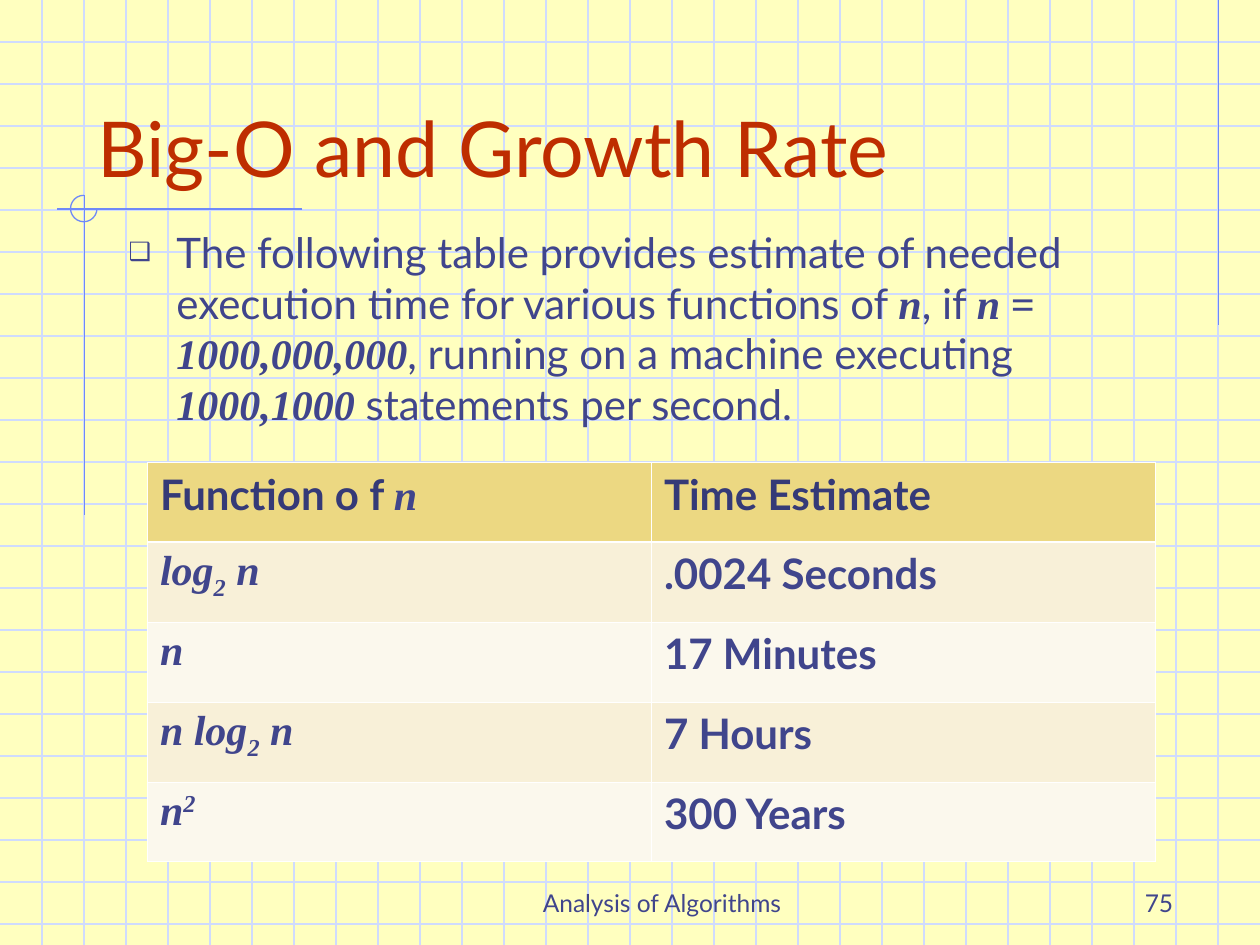
from lxml.etree import SubElement
from pptx import Presentation
from pptx.dml.color import RGBColor
from pptx.enum.shapes import MSO_CONNECTOR, MSO_SHAPE
from pptx.enum.text import MSO_ANCHOR, MSO_AUTO_SIZE, PP_ALIGN
from pptx.oxml.ns import qn
from pptx.util import Inches, Pt

WIDTH, HEIGHT = 10, 7.5
GRID_STEP = 1 / 3


def color(value):
    return RGBColor.from_string(value)


class SlideBuilder:
    """Holds the style and the current slide."""

    sans, serif = "Lato", "Times New Roman"
    background, grid, accent = "FFFFBF", "CFDBFD", "6F89F7"
    ink, heading, header_ink = "40458C", "BE2D00", "353A77"
    header_fill, bands, border = "ECD882", ("F8F0D8", "FBF8ED"), "FFFFFF"

    def __init__(self, presentation):
        self.slide = presentation.slides.add_slide(presentation.slide_layouts[1])
        fill = self.slide.background.fill
        fill.solid()
        fill.fore_color.rgb = color(self.background)

    def line(self, x1, y1, x2, y2, stroke):
        connector = self.slide.shapes.add_connector(
            MSO_CONNECTOR.STRAIGHT, Inches(x1), Inches(y1), Inches(x2), Inches(y2))
        connector.line.color.rgb = color(stroke)
        connector.line.width = Pt(0.75)
        SubElement(connector._element.spPr, qn("a:effectLst"))

    def grid_lines(self):
        for index in range(1, int(HEIGHT / GRID_STEP) + 1):
            self.line(0, index * GRID_STEP, WIDTH, index * GRID_STEP, self.grid)
        for index in range(1, int(WIDTH / GRID_STEP)):
            self.line(index * GRID_STEP, 0, index * GRID_STEP, HEIGHT, self.grid)

    def arc(self, left, top, size):
        shape = self.slide.shapes.add_shape(
            MSO_SHAPE.ARC, Inches(left), Inches(top), Inches(size), Inches(size))
        shape.adjustments[0] = 0
        shape.adjustments[1] = 270 * 0.6
        shape.shadow.inherit = False
        shape.fill.background()
        shape.line.color.rgb = color(self.accent)
        shape.line.width = Pt(0.75)

    def add_runs(self, paragraph, parts, size, ink=None, bold=False):
        for text, style in parts:
            run = paragraph.add_run()
            run.text = text
            math = style != "text"
            run.font.name = self.serif if math else self.sans
            run.font.size = Pt(size)
            run.font.bold = bold or math
            run.font.italic = math
            run.font.color.rgb = color(self.ink if math else ink or self.ink)
            if style in ("sub", "super"):
                run.font._element.set("baseline", "-25000" if style == "sub" else "30000")

    def place(self, shape, left, top, width, height):
        shape.left, shape.top = Inches(left), Inches(top)
        shape.width, shape.height = Inches(width), Inches(height)
        self.slide.shapes._spTree.append(shape._element)
        shape.text_frame.word_wrap = True
        shape.text_frame.auto_size = MSO_AUTO_SIZE.NONE
        return shape.text_frame

    def title(self, text, *box):
        frame = self.place(self.slide.shapes.title, *box)
        frame.vertical_anchor = MSO_ANCHOR.BOTTOM
        paragraph = frame.paragraphs[0]
        paragraph.alignment = PP_ALIGN.LEFT
        self.add_runs(paragraph, [(text, "text")], 44, self.heading)

    def body(self, parts, *box):
        frame = self.place(self.slide.placeholders[1], *box)
        frame.vertical_anchor = MSO_ANCHOR.TOP
        paragraph = frame.paragraphs[0]
        paragraph.space_before = Pt(0)
        properties = paragraph._p.get_or_add_pPr()
        properties.set("marL", str(Inches(0.38)))
        properties.set("indent", str(Inches(-0.38)))
        bullet_color = SubElement(properties, qn("a:buClr"))
        SubElement(bullet_color, qn("a:srgbClr"), val=self.ink)
        SubElement(properties, qn("a:buSzPct"), val="60000")
        SubElement(properties, qn("a:buChar"), char="❑")
        self.add_runs(paragraph, parts, 24)

    def footer(self, text, alignment, *box):
        shape = self.slide.shapes.add_textbox(*map(Inches, box))
        frame = shape.text_frame
        frame.word_wrap = True
        frame.vertical_anchor = MSO_ANCHOR.BOTTOM
        paragraph = frame.paragraphs[0]
        paragraph.alignment = alignment
        self.add_runs(paragraph, [(text, "text")], 14)

    def borders(self, cell, row):
        properties = cell._tc.get_or_add_tcPr()
        heavy_side = {0: "lnB", 1: "lnT"}.get(row)
        for side in ("lnL", "lnR", "lnT", "lnB"):
            width = Pt(1.47 if side == heavy_side else 0.45)
            edge = SubElement(properties, qn(f"a:{side}"), w=str(width))
            fill = SubElement(edge, qn("a:solidFill"))
            SubElement(fill, qn("a:srgbClr"), val=self.border)

    def table(self, rows, *box):
        frame = self.slide.shapes.add_table(len(rows), len(rows[0]), *map(Inches, box))
        for row, contents in enumerate(rows):
            for column, parts in enumerate(contents):
                cell = frame.table.cell(row, column)
                self.borders(cell, row)
                cell.fill.solid()
                fill = self.bands[(row - 1) % 2] if row else self.header_fill
                cell.fill.fore_color.rgb = color(fill)
                ink = self.ink if row else self.header_ink
                self.add_runs(cell.text_frame.paragraphs[0], parts, 24, ink, bold=True)


def main():
    presentation = Presentation()
    presentation.slide_width, presentation.slide_height = Inches(WIDTH), Inches(HEIGHT)
    builder = SlideBuilder(presentation)

    builder.grid_lines()
    builder.line(9.67, 0, 9.67, 2.58, builder.accent)
    builder.line(2.4, 1.66, 0.45, 1.66, builder.accent)
    builder.line(0.67, 1.55, 0.67, 4.09, builder.accent)
    builder.arc(0.56, 1.55, 0.21)

    builder.footer("Analysis of Algorithms", PP_ALIGN.CENTER, 3.67, 6.83, 3.17, 0.5)
    builder.footer("75", PP_ALIGN.RIGHT, 7.33, 6.83, 2.08, 0.5)
    builder.title("Big-O and Growth Rate", 0.67, 0.33, 8.5, 1.25)
    builder.body([
        ("The following table provides estimate of needed execution time "
         "for various functions of ", "text"),
        ("n", "math"), (", if ", "text"), ("n = 1000,000,000", "math"),
        (", running on a machine executing ", "text"), ("1000,1000", "math"),
        (" statements per second.", "text"),
    ], 0.92, 1.75, 8.5, 5.17)

    builder.table([
        ([("Function o f ", "text"), ("n", "math")], [("Time Estimate", "text")]),
        ([("log", "math"), ("2", "sub"), (" n", "math")], [(".0024 Seconds", "text")]),
        ([("n", "math")], [("17 Minutes", "text")]),
        ([("n log", "math"), ("2", "sub"), (" n", "math")], [("7 Hours", "text")]),
        ([("n", "math"), ("2", "super")], [("300 Years", "text")]),
    ], 1.17, 3.67, 8, 3.17)

    presentation.save("out.pptx")


if __name__ == "__main__":
    main()
